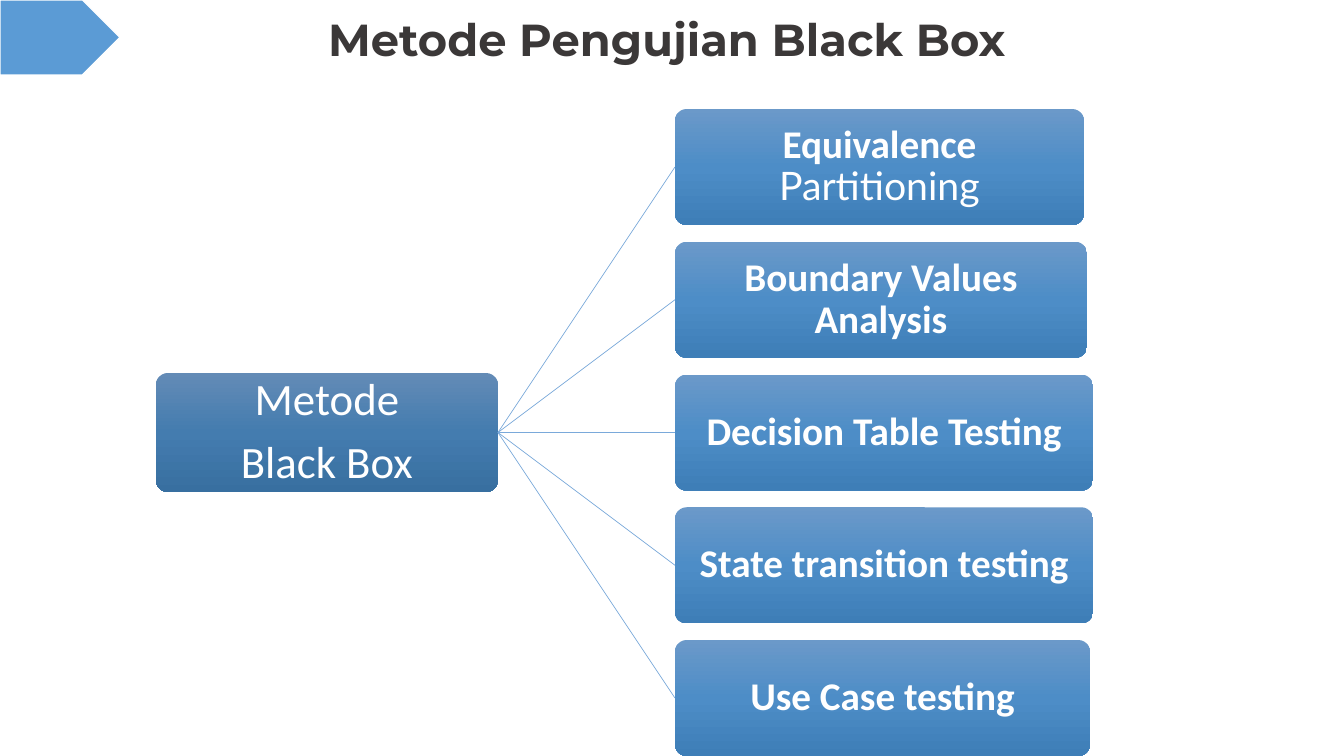
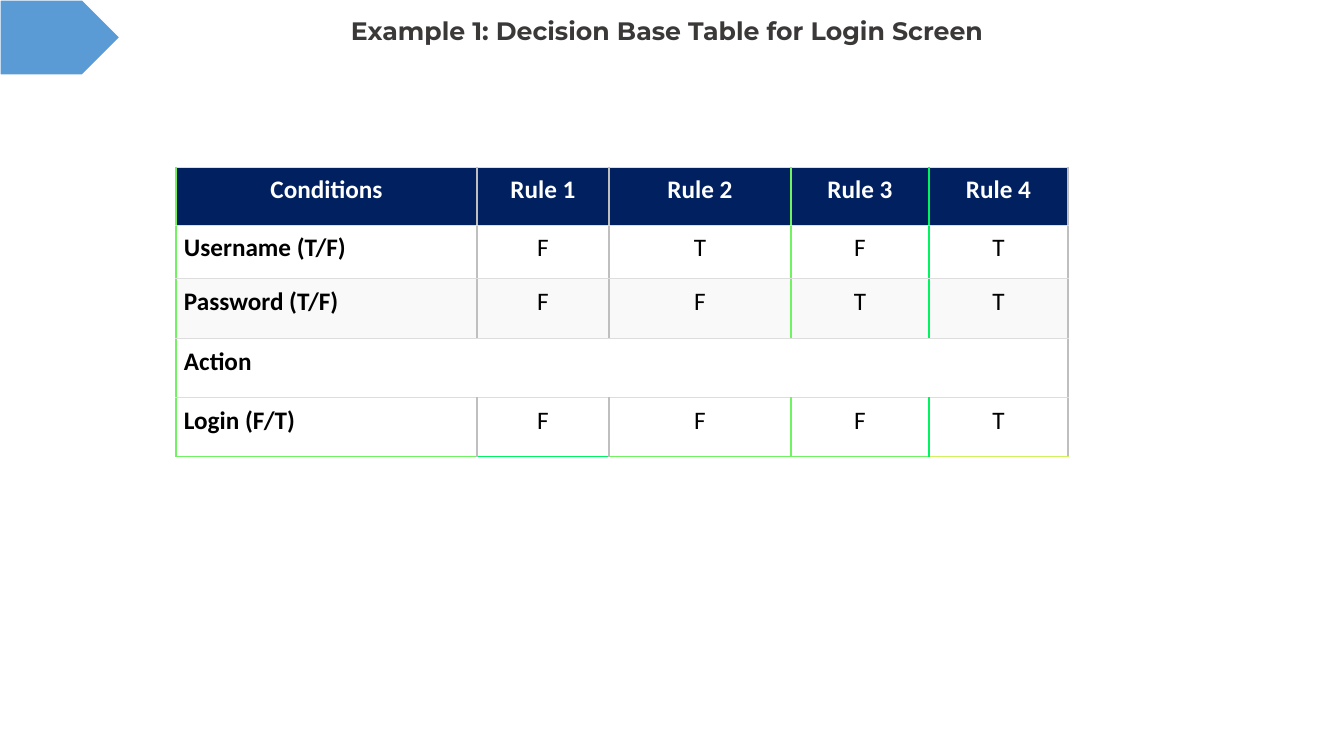
from copy import deepcopy

from lxml.etree import SubElement
from pptx import Presentation
from pptx.dml.color import RGBColor
from pptx.enum.shapes import MSO_CONNECTOR, MSO_SHAPE
from pptx.enum.text import MSO_ANCHOR, PP_ALIGN
from pptx.oxml.ns import qn
from pptx.util import Emu, Pt

EMU_PER_PIXEL = 914400 / 100.8
SLIDE_WIDTH, SLIDE_HEIGHT = 1344, 756
TITLE_ONLY = 5
COLORS = {
    "title": "3B3838",
    "marker": "5B9BD5",
    "white": "FFFFFF",
    "black": "000000",
    "branch line": "7AA9DA",
    "header": "002060",
    "band": "F9F9F9",
    "grid": "DDDDDD",
    "gray": "BFBFBF",
    "green": "70F261",
    "emerald": "00F361",
    "lime": "D0F261",
}
ROOT_GRADIENT = ["638BB6", "447CAF", "386FA0"]
BRANCH_GRADIENT = ["6B99C9", "4D8DC7", "3E7EB7"]

ROOT_BOX = (156, 373, 342, 119)
BRANCH_LEFT, BRANCH_HEIGHT = 675, 116
FIRST_BRANCH_TOP, LAST_BRANCH_TOP = 109, 640
# Each branch: width and text runs as (text, font name, bold)
BRANCHES = [
    (409, [("Equivalence ", "Calibri", True), ("Partitioning", "Lato", False)]),
    (412, [("Boundary Values Analysis", "Calibri", True)]),
    (418, [("Decision Table Testing", "Calibri", True)]),
    (418, [("State transition testing", "Calibri", True)]),
    (415, [("Use Case testing", "Calibri", True)]),
]

LOGIN_ROWS = [
    ["Conditions", "Rule 1", "Rule 2", "Rule 3", "Rule 4"],
    ["Username (T/F)", "F", "T", "F", "T"],
    ["Password (T/F)", "F", "F", "T", "T"],
    ["Action"],
    ["Login (F/T)", "F", "F", "F", "T"],
]
COLUMN_WIDTHS = [301, 132, 182, 138, 139]
ROW_HEIGHTS = [58, 54, 60, 59, 59]
ROW_FILLS = ["header", "white", "band", "white", "white"]
VERTICAL_EDGES = ["green", "gray", "gray", "green", "emerald", "gray"]
BOTTOM_EDGES = ["green", "emerald", "green", "green", "lime"]


def px(length):
    """Convert picture pixels to EMU."""
    return Emu(round(length * EMU_PER_PIXEL))


def rgb(name):
    """Look up a named colour."""
    return RGBColor.from_string(COLORS[name])


def style_font(font, name, size, color, bold):
    """Set the usual properties of a font."""
    font.name, font.size, font.bold = name, Pt(size), bold
    font.color.rgb = rgb(color)


def add_titled_slide(presentation, title, size, height):
    """Add a slide with the shared title style and corner marker."""
    slide = presentation.slides.add_slide(presentation.slide_layouts[TITLE_ONLY])
    shape = slide.shapes.title
    shape.left, shape.top = px(139), px(4)
    shape.width, shape.height = px(1056), px(height)
    frame = shape.text_frame
    frame.text = title
    frame.vertical_anchor = MSO_ANCHOR.MIDDLE
    paragraph = frame.paragraphs[0]
    paragraph.alignment, paragraph.line_spacing = PP_ALIGN.CENTER, 0.9
    style_font(paragraph.font, "Montserrat", size, "title", True)

    marker = slide.shapes.add_shape(MSO_SHAPE.PENTAGON, 0, 0, px(120), px(75))
    marker.shadow.inherit = False
    marker.fill.solid()
    marker.fill.fore_color.rgb = rgb("marker")
    marker.line.color.rgb = rgb("white")
    marker.line.width = Pt(1)
    return slide


def fill_gradient(shape, colors):
    """Fill a shape from top to bottom with three evenly spaced colours."""
    shape.fill.gradient()
    shape.fill.gradient_angle = 270
    stop_list = shape.element.spPr.find(qn("a:gradFill")).find(qn("a:gsLst"))
    stop_list.insert(1, deepcopy(stop_list[0]))
    for index, (stop, color) in enumerate(zip(shape.fill.gradient_stops, colors)):
        stop.position = index / 2
        stop.color.rgb = RGBColor.from_string(color)


def add_node(slide, box, gradient, size, paragraphs):
    """Add a rounded box whose paragraphs are lists of text runs."""
    shape = slide.shapes.add_shape(MSO_SHAPE.ROUNDED_RECTANGLE, *map(px, box))
    shape.adjustments[0] = 0.1
    shape.shadow.inherit = False
    shape.line.fill.background()
    fill_gradient(shape, gradient)
    frame = shape.text_frame
    frame.word_wrap = True
    frame.vertical_anchor = MSO_ANCHOR.MIDDLE
    frame.margin_left = frame.margin_right = px(2)
    frame.margin_top = frame.margin_bottom = px(2)
    for index, runs in enumerate(paragraphs):
        paragraph = frame.add_paragraph() if index else frame.paragraphs[0]
        paragraph.alignment, paragraph.line_spacing = PP_ALIGN.CENTER, 0.9
        paragraph.space_after = Pt(round(size * 0.35))
        for text, font_name, bold in runs:
            run = paragraph.add_run()
            run.text = text
            style_font(run.font, font_name, size, "white", bold)


def add_branch_line(slide, start, end):
    """Draw a thin line between two points."""
    line = slide.shapes.add_connector(
        MSO_CONNECTOR.STRAIGHT, *map(px, (*start, *end)))
    line.line.color.rgb = rgb("branch line")
    line.line.width = Pt(0.5)
    SubElement(line.element.spPr, qn("a:effectLst"))


def set_borders(cell, borders):
    """Set cell borders given as side: (colour name, width in points)."""
    properties = cell._tc.get_or_add_tcPr()
    for index, (side, (color, width)) in enumerate(borders.items()):
        line = SubElement(properties, qn(f"a:ln{side}"), w=str(Pt(width)))
        fill = SubElement(line, qn("a:solidFill"))
        SubElement(fill, qn("a:srgbClr"), val=COLORS[color])
        properties.insert(index, line)


def cell_borders(row, column):
    """Choose the borders of a cell; the joined row has no inner edges."""
    last_column = len(COLUMN_WIDTHS) - 1
    joined = len(LOGIN_ROWS[row]) == 1
    borders = {}
    if column == 0 or not joined:
        borders["L"] = (VERTICAL_EDGES[column], 1)
    if joined:
        borders["R"] = (VERTICAL_EDGES[-1], 1)
    else:
        borders["R"] = (VERTICAL_EDGES[column + 1], 1)
    if joined and 0 < column < last_column:
        del borders["R"]
    borders["T"] = ("grid", 0.75)
    is_last_row = row == len(LOGIN_ROWS) - 1
    borders["B"] = (BOTTOM_EDGES[column], 1) if is_last_row else ("grid", 0.75)
    return borders


def write_cell(cell, text, row, column):
    """Write text with the style of its row and column."""
    cell.margin_left = cell.margin_right = px(8)
    cell.margin_top = cell.margin_bottom = px(8)
    cell.text = text
    paragraph = cell.text_frame.paragraphs[0]
    is_header = row == 0
    paragraph.alignment = (
        PP_ALIGN.CENTER if is_header or column else PP_ALIGN.LEFT)
    style_font(paragraph.font, "Calibri", 18,
               "white" if is_header else "black", is_header or column == 0)


def add_login_table(slide):
    """Add the decision table for the login screen."""
    table = slide.shapes.add_table(
        len(ROW_HEIGHTS), len(COLUMN_WIDTHS), px(176), px(167),
        px(sum(COLUMN_WIDTHS)), px(sum(ROW_HEIGHTS))).table
    table.horz_banding = False
    for column, width in zip(table.columns, COLUMN_WIDTHS):
        column.width = px(width)
    for row_index, texts in enumerate(LOGIN_ROWS):
        table.rows[row_index].height = px(ROW_HEIGHTS[row_index])
        for column_index in range(len(COLUMN_WIDTHS)):
            cell = table.cell(row_index, column_index)
            cell.fill.solid()
            cell.fill.fore_color.rgb = rgb(ROW_FILLS[row_index])
            set_borders(cell, cell_borders(row_index, column_index))
            if column_index < len(texts):
                write_cell(cell, texts[column_index], row_index, column_index)
        if len(texts) == 1:
            table.cell(row_index, 0).merge(
                table.cell(row_index, len(COLUMN_WIDTHS) - 1))


def build_methods_slide(presentation):
    """Show the black box methods as a tree."""
    slide = add_titled_slide(presentation, "Metode Pengujian Black Box", 32, 75)
    left, top, width, height = ROOT_BOX
    root_end = (left + width, top + height / 2)
    add_node(slide, ROOT_BOX, ROOT_GRADIENT, 32,
             [[("Metode", "Calibri", False)], [("Black Box", "Calibri", False)]])
    pitch = (LAST_BRANCH_TOP - FIRST_BRANCH_TOP) / (len(BRANCHES) - 1)
    for index, (branch_width, runs) in enumerate(BRANCHES):
        branch_top = FIRST_BRANCH_TOP + index * pitch
        add_branch_line(slide, root_end,
                        (BRANCH_LEFT, branch_top + BRANCH_HEIGHT / 2))
        add_node(slide, (BRANCH_LEFT, branch_top, branch_width, BRANCH_HEIGHT),
                 BRANCH_GRADIENT, 28, [runs])


def build_login_slide(presentation):
    """Show the login decision table."""
    slide = add_titled_slide(
        presentation, "Example 1: Decision Base Table for Login Screen", 18, 56)
    add_login_table(slide)


def main():
    """Build and save the presentation."""
    presentation = Presentation()
    presentation.slide_width = px(SLIDE_WIDTH)
    presentation.slide_height = px(SLIDE_HEIGHT)
    build_methods_slide(presentation)
    build_login_slide(presentation)
    presentation.save("out.pptx")


main()
